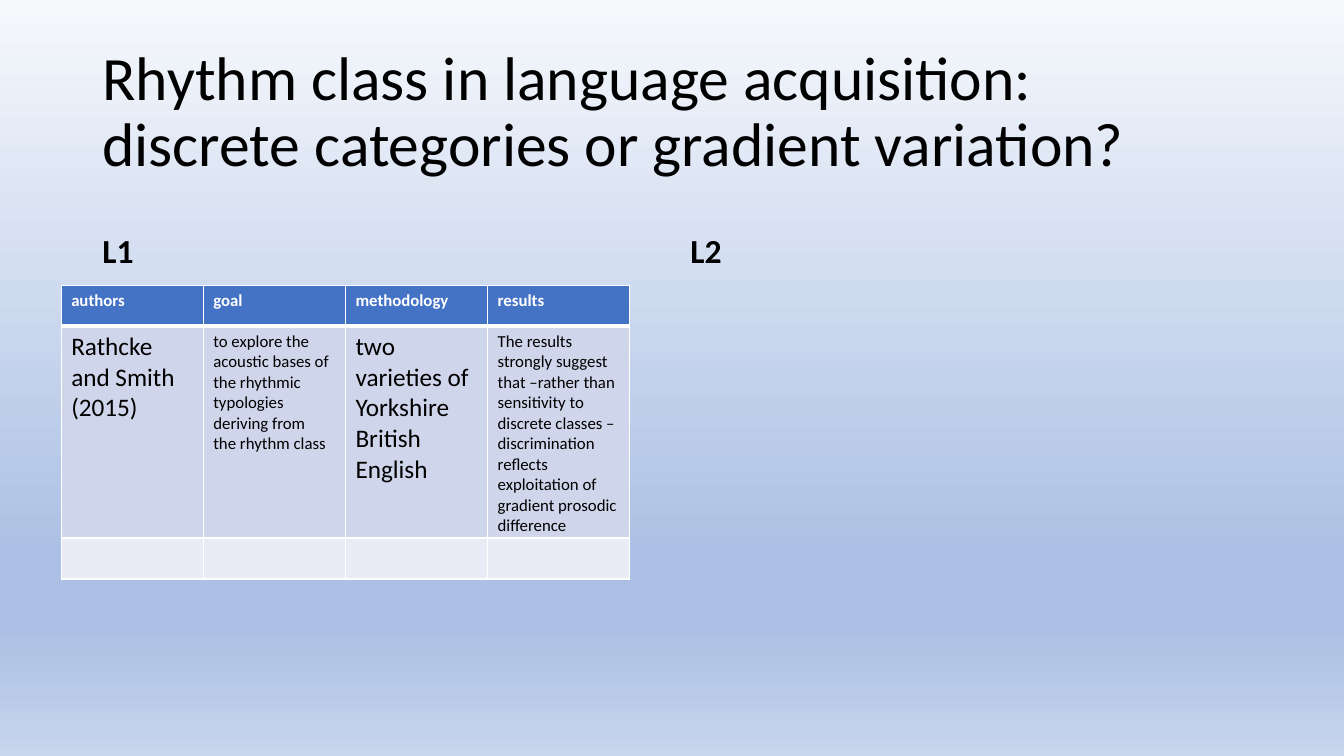
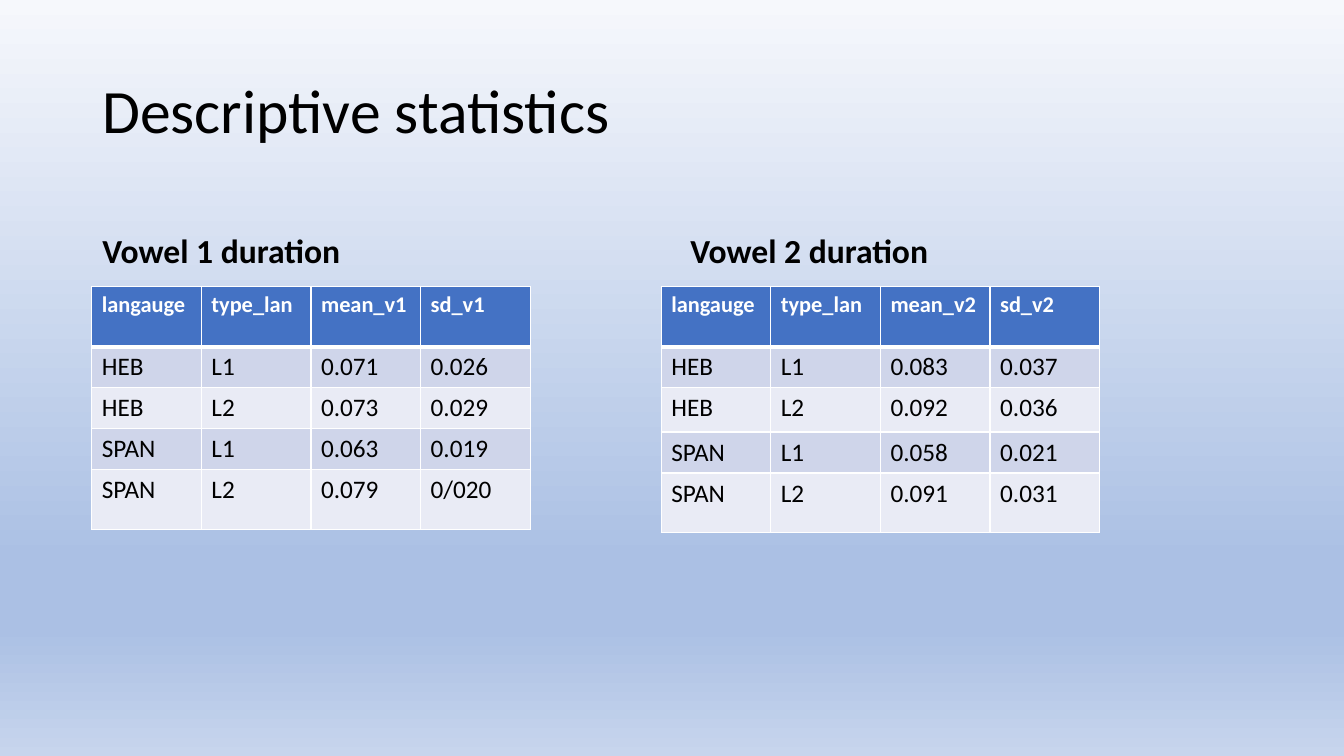
from dataclasses import dataclass

from lxml import etree
from pptx import Presentation
from pptx.dml.color import RGBColor
from pptx.enum.text import MSO_ANCHOR
from pptx.oxml.ns import qn
from pptx.slide import Slide, SlideMaster
from pptx.table import _Cell
from pptx.text.text import _Paragraph
from pptx.util import Inches, Length, Pt

MIDDLE, BOTTOM = MSO_ANCHOR.MIDDLE, MSO_ANCHOR.BOTTOM
FONT = "Calibri"
BLACK = RGBColor(0x00, 0x00, 0x00)
WHITE = RGBColor(0xFF, 0xFF, 0xFF)
HEADER_BLUE = RGBColor(0x44, 0x72, 0xC4)
BANDS = (RGBColor(0xCF, 0xD5, 0xEA), RGBColor(0xE9, 0xEB, 0xF5))
BACKDROP = (
    (0, RGBColor(0xF6, 0xF8, 0xFC)),
    (74, RGBColor(0xAB, 0xC0, 0xE4)),
    (83, RGBColor(0xAB, 0xC0, 0xE4)),
    (100, RGBColor(0xC7, 0xD5, 0xED)),
)
SLIDE_WIDTH, SLIDE_HEIGHT = Inches(13.33), Inches(7.5)


@dataclass(frozen=True)
class Area:
    """A rectangle in percent of the slide's width and height."""

    left: float
    top: float
    width: float
    height: float


@dataclass(frozen=True)
class TextStyle:
    """Size, weight and placing of one kind of text."""

    size: int
    bold: bool
    anchor: MSO_ANCHOR
    space_before: int


@dataclass(frozen=True)
class Grid:
    """A table: place and row heights in percent, text sizes in points."""

    left: float
    top: float
    width: float
    row_heights: tuple[float, ...]
    header_size: int
    body_sizes: tuple[int, ...]
    rows: tuple[tuple[str, ...], ...]


@dataclass(frozen=True)
class Comparison:
    """A slide with a title, two headings and its tables."""

    title: str
    headings: tuple[str, str]
    grids: tuple[Grid, ...]


TITLE_AREA = Area(6.88, 5.33, 86.25, 19.33)
HEADING_AREAS = (Area(6.88, 24.53, 42.31, 12), Area(50.63, 24.53, 42.5, 12))
TITLE_STYLE = TextStyle(44, False, MIDDLE, 0)
HEADING_STYLE = TextStyle(24, True, BOTTOM, 10)
LINE_ROW = 5.42  # one line of 18 point text with its cell margins


def vowel_grid(
    left: float, vowel: str, second_row: float, values: tuple[tuple[str, str], ...]
) -> Grid:
    """Describe the duration table of one vowel."""
    groups = (("HEB", "L1"), ("HEB", "L2"), ("SPAN", "L1"), ("SPAN", "L2"))
    header = ("langauge", "type_lan", f"mean_{vowel}", f"sd_{vowel}")
    body = tuple(group + pair for group, pair in zip(groups, values))
    heights = (8, LINE_ROW, second_row, LINE_ROW, 7.87)
    return Grid(left, 37.87, 32.63, heights, 16, (18,) * 4, (header, *body))


STUDIES = Grid(
    4.55, 37.75, 42.31, (LINE_ROW, 28, LINE_ROW), 12, (18, 12, 18, 12),
    (
        ("authors", "goal", "methodology", "results "),
        (
            "Rathcke and Smith (2015)",
            "to explore the acoustic bases of the rhythmic typologies "
            "deriving from \nthe rhythm class ",
            "two varieties of Yorkshire British English",
            "The results strongly suggest that \u2013rather than sensitivity to "
            "discrete classes \u2013discrimination reflects exploitation of "
            "gradient prosodic difference",
        ),
        ("",) * 4,
    ),
)
VOWEL_1 = vowel_grid(
    6.83, "v1", LINE_ROW,
    (("0.071", "0.026"), ("0.073", "0.029"), ("0.063", "0.019"), ("0.079", "0/020")),
)
VOWEL_2 = vowel_grid(
    49.2, "v2", 5.87,
    (("0.083", "0.037"), ("0.092", "0.036"), ("0.058", "0.021"), ("0.091", "0.031")),
)
SLIDES = (
    Comparison(
        "Rhythm class in language acquisition: discrete categories or gradient variation?",
        ("L1  ", "L2 "),
        (STUDIES,),
    ),
    Comparison(
        "Descriptive statistics ",
        ("Vowel 1 duration", "Vowel 2 duration"),
        (VOWEL_1, VOWEL_2),
    ),
)


def across(percent: float) -> Length:
    """Turn a percentage of the slide's width into a length."""
    return Length(round(SLIDE_WIDTH * percent / 100))


def down(percent: float) -> Length:
    """Turn a percentage of the slide's height into a length."""
    return Length(round(SLIDE_HEIGHT * percent / 100))


def add_color(parent: etree._Element, color: RGBColor) -> None:
    """Append a plain colour to a fill or gradient stop."""
    etree.SubElement(parent, qn("a:srgbClr"), val=str(color))


def paint_backdrop(master: SlideMaster) -> None:
    """Give all slides the vertical gradient."""
    fill = master.background.fill
    fill.gradient()
    fill.gradient_angle = 270
    stops = master.element.find(".//" + qn("a:gsLst"))
    for stop in list(stops):
        stops.remove(stop)
    for percent, color in BACKDROP:
        stop = etree.SubElement(stops, qn("a:gs"), pos=str(percent * 1000))
        add_color(stop, color)


def set_font(paragraph: _Paragraph, size: int, bold: bool, color: RGBColor) -> None:
    """Set the font of a whole paragraph."""
    font = paragraph.font
    font.name, font.size, font.bold = FONT, Pt(size), bold
    font.color.rgb = color


def add_text(slide: Slide, area: Area, text: str, style: TextStyle) -> None:
    """Add a title or heading."""
    box = slide.shapes.add_textbox(
        across(area.left), down(area.top), across(area.width), down(area.height)
    )
    frame = box.text_frame
    frame.word_wrap = True
    frame.vertical_anchor = style.anchor
    frame.text = text
    paragraph = frame.paragraphs[0]
    paragraph.line_spacing = 0.9
    paragraph.space_before = Pt(style.space_before)
    set_font(paragraph, style.size, style.bold, BLACK)


def add_borders(cell: _Cell, top: int, bottom: int) -> None:
    """Draw white cell borders, given the top and bottom widths in points."""
    properties = cell._tc.get_or_add_tcPr()
    widths = {"a:lnL": 1, "a:lnR": 1, "a:lnT": top, "a:lnB": bottom}
    for position, (side, width) in enumerate(widths.items()):
        line = etree.Element(qn(side), w=str(Pt(width)))
        add_color(etree.SubElement(line, qn("a:solidFill")), WHITE)
        properties.insert(position, line)


def add_grid(slide: Slide, grid: Grid) -> None:
    """Add a table with a blue header and banded rows."""
    column_count = len(grid.body_sizes)
    table = slide.shapes.add_table(
        len(grid.rows), column_count, across(grid.left), down(grid.top),
        across(grid.width), down(sum(grid.row_heights)),
    ).table
    for column in table.columns:
        column.width = across(grid.width / column_count)
    for row_index, texts in enumerate(grid.rows):
        table.rows[row_index].height = down(grid.row_heights[row_index])
        header = row_index == 0
        fill = HEADER_BLUE if header else BANDS[(row_index - 1) % 2]
        for column_index, text in enumerate(texts):
            cell = table.cell(row_index, column_index)
            cell.text = text
            cell.fill.solid()
            cell.fill.fore_color.rgb = fill
            add_borders(cell, 3 if row_index == 1 else 1, 3 if header else 1)
            size = grid.header_size if header else grid.body_sizes[column_index]
            for paragraph in cell.text_frame.paragraphs:
                set_font(paragraph, size, header, WHITE if header else BLACK)


def main() -> None:
    """Build and save the presentation."""
    deck = Presentation()
    deck.slide_width, deck.slide_height = SLIDE_WIDTH, SLIDE_HEIGHT
    paint_backdrop(deck.slide_master)
    blank = deck.slide_layouts[6]
    for comparison in SLIDES:
        slide = deck.slides.add_slide(blank)
        add_text(slide, TITLE_AREA, comparison.title, TITLE_STYLE)
        for area, heading in zip(HEADING_AREAS, comparison.headings):
            add_text(slide, area, heading, HEADING_STYLE)
        for grid in comparison.grids:
            add_grid(slide, grid)
    deck.save("out.pptx")


main()
